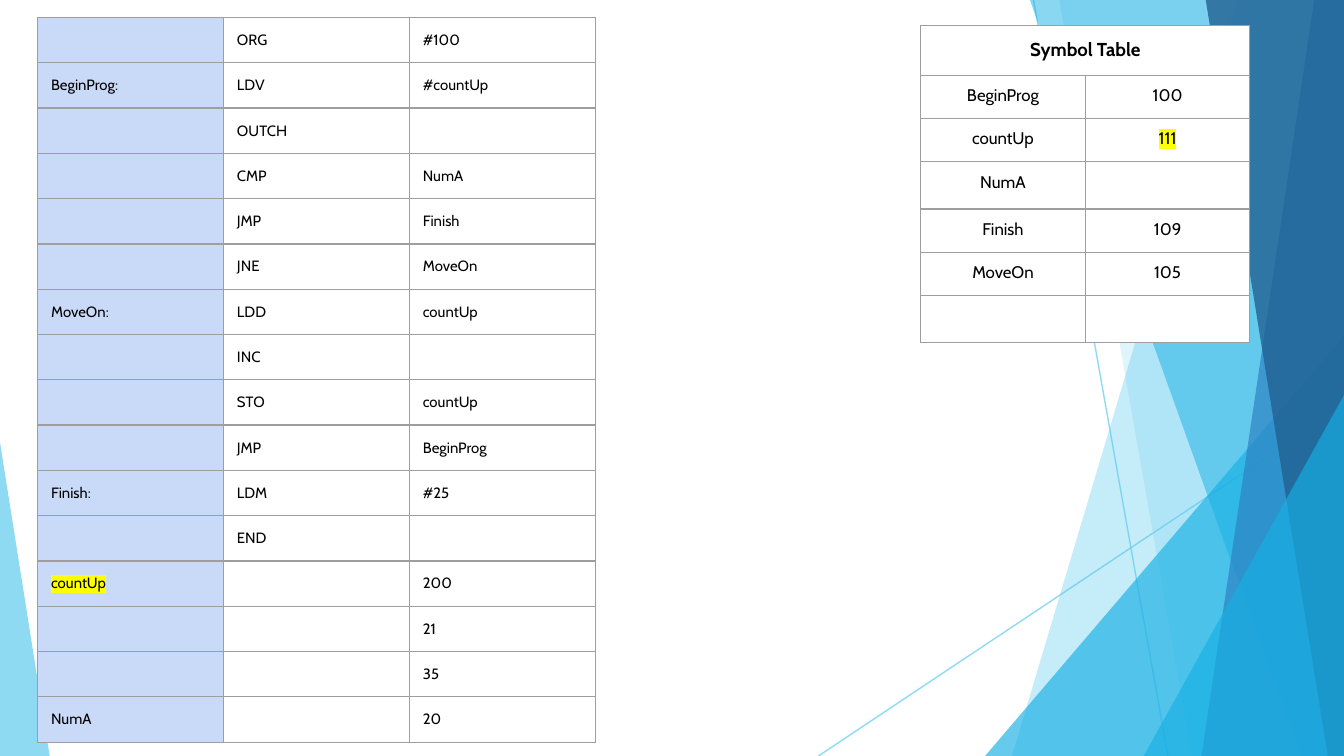
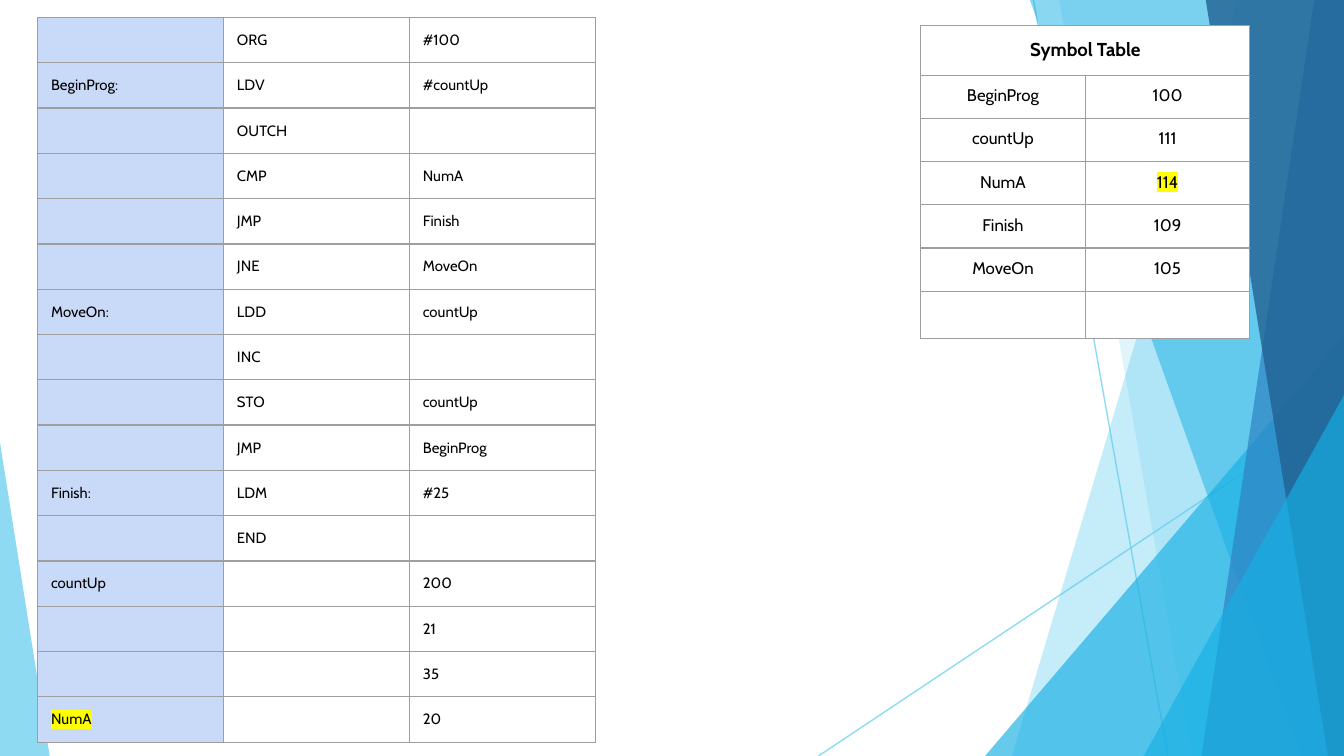
from lxml import etree
from pptx import Presentation
from pptx.dml.color import RGBColor
from pptx.enum.shapes import MSO_CONNECTOR, MSO_SHAPE
from pptx.enum.text import PP_ALIGN
from pptx.oxml.ns import qn
from pptx.util import Inches, Pt

LINE = MSO_CONNECTOR.STRAIGHT
WEDGE = MSO_SHAPE.ISOSCELES_TRIANGLE
LEFT, CENTER = PP_ALIGN.LEFT, PP_ALIGN.CENTER

# Places are counted on a grid of one-inch squares; the slide is 16:9.
WIDE = 10
HIGH = WIDE * 9 / 16
TOP = -0.01
FONT = "Cabin"
COLORS = {
    "sky": "5FCBEF", "cyan": "17B0E4", "blue": "2E83C3", "navy": "226292",
    "label": "C9DAF8", "white": "FFFFFF", "ink": "000000",
    "rule": "9E9E9E", "mark": "FFFF00",
}

CODE = [
    ("", "ORG", "#100"),
    ("BeginProg:", "LDV", "#countUp"),
    ("", "OUTCH", ""),
    ("", "CMP", "NumA"),
    ("", "JMP", "Finish"),
    ("", "JNE", "MoveOn"),
    ("MoveOn:", "LDD", "countUp"),
    ("", "INC", ""),
    ("", "STO", "countUp"),
    ("", "JMP", "BeginProg"),
    ("Finish:", "LDM", "#25"),
    ("", "END", ""),
    ("countUp", "", "200"),
    ("", "", "21"),
    ("", "", "35"),
    ("NumA", "", "20"),
]
# Each step: the label just found, and the address known for NumA.
STEPS = [("countUp", ""), ("NumA", "114")]


def rgb(name):
    return RGBColor.from_string(COLORS[name])


def tint(fill, name, alpha):
    """Set a solid colour with an opacity in percent."""
    fill.solid()
    fill.fore_color.rgb = rgb(name)
    for color in fill._xPr.iter(qn("a:srgbClr")):
        etree.SubElement(color, qn("a:alpha"), val=str(alpha * 1000))


def paint(shape, name, alpha):
    tint(shape.fill, name, alpha)
    shape.line.fill.background()
    shape.shadow.inherit = False


def add_ray(shapes, *ends):
    ray = shapes.add_connector(LINE, *map(Inches, ends))
    ray.line.width = Pt(0.75)
    tint(ray.line.fill, "sky", 70)
    etree.SubElement(ray._element.spPr, qn("a:effectLst"))


def add_band(shapes, top, foot, name, alpha):
    """Fill from a slanted edge to the right side of the slide."""
    pen = shapes.build_freeform(Inches(top), Inches(TOP))
    corners = [(WIDE, TOP), (WIDE, HIGH), (foot, HIGH)]
    pen.add_line_segments([(Inches(x), Inches(y)) for x, y in corners])
    paint(pen.convert_to_shape(), name, alpha)


def add_wedge(shapes, left, top, width, tip, name, alpha):
    box = (left, top, width, HIGH - top)
    wedge = shapes.add_shape(WEDGE, *map(Inches, box))
    wedge.adjustments[0] = tip
    paint(wedge, name, alpha)


def add_decor(slide):
    """Draw the facets once and move them to the layout of the slide."""
    layout, shapes = slide.slide_layout, slide.shapes
    for holder in list(layout.placeholders):
        layout.shapes._spTree.remove(holder._element)
    add_ray(shapes, 7.69, 0, 8.69, HIGH)
    add_ray(shapes, WIDE, 3.02, 6.09, HIGH)
    add_band(shapes, 9.21, 7.53, "sky", 36)
    add_band(shapes, 7.88, 8.87, "sky", 20)
    add_wedge(shapes, 7.33, 2.5, 2.67, 1, "cyan", 66)
    add_band(shapes, 7.66, 9.68, "cyan", 50)
    add_band(shapes, 9.78, 8.94, "blue", 70)
    add_band(shapes, 8.97, 9.88, "navy", 80)
    add_wedge(shapes, 8.51, 2.94, 1.49, 1, "cyan", 66)
    add_wedge(shapes, 0, 3.29, 0.37, 0, "sky", 70)
    for shape in list(shapes):
        layout.shapes._spTree.append(shape._element)


def add_rules(cell):
    props = cell._tc.get_or_add_tcPr()
    for side in ("lnL", "lnR", "lnT", "lnB"):
        edge = etree.SubElement(props, qn("a:" + side), w=str(Pt(0.75)))
        fill = etree.SubElement(edge, qn("a:solidFill"))
        etree.SubElement(fill, qn("a:srgbClr"), val=COLORS["rule"])


def fill_cell(cell, text, size, align, back="white", bold=False, mark=False):
    add_rules(cell)
    cell.fill.solid()
    cell.fill.fore_color.rgb = rgb(back)
    cell.margin_left = cell.margin_right = Inches(0.1)
    cell.margin_top = cell.margin_bottom = Inches(0.1)
    par = cell.text_frame.paragraphs[0]
    par.alignment = align
    font = par.font
    font.name, font.size, font.bold = FONT, Pt(size), bold
    font.color.rgb = rgb("ink")
    if not text:
        par._p.get_or_add_endParaRPr().set("sz", str(size * 100))
        return
    run = par.add_run()
    run.text = text
    if mark:
        light = etree.SubElement(run._r.get_or_add_rPr(), qn("a:highlight"))
        etree.SubElement(light, qn("a:srgbClr"), val=COLORS["mark"])


def add_grid(slide, rows, cols, left, top, width, row):
    """Add a plain table with equal columns and rows."""
    box = (left, top, width, row * rows)
    table = slide.shapes.add_table(rows, cols, *map(Inches, box)).table
    table.first_row = table.horz_banding = False
    return table


def add_code(slide, found):
    table = add_grid(slide, len(CODE), 3, 0.28, 0.13, 4.15, 0.28)
    for r, line in enumerate(CODE):
        for c, text in enumerate(line):
            back = "white" if c else "label"
            fill_cell(table.cell(r, c), text, 8, LEFT, back,
                      mark=c == 0 and text == found)


def add_symbols(slide, found, num):
    pairs = [("BeginProg", "100"), ("countUp", "111"), ("NumA", num),
             ("Finish", "109"), ("MoveOn", "105"), ("", "")]
    table = add_grid(slide, len(pairs) + 1, 2, 6.85, 0.19, 2.45, 0.31)
    table.rows[0].height = Inches(0.32)
    head = table.cell(0, 0)
    head.merge(table.cell(0, 1))
    fill_cell(head, "Symbol Table", 10, CENTER, bold=True)
    fill_cell(table.cell(0, 1), "", 10, CENTER)
    for r, pair in enumerate(pairs, 1):
        for c, text in enumerate(pair):
            cell = table.cell(r, c)
            fill_cell(cell, text, 9, CENTER,
                      mark=c == 1 and pair[0] == found)
            if text:
                cell.text_frame.paragraphs[0].line_spacing = 0.8


def main():
    deck = Presentation()
    deck.slide_width, deck.slide_height = Inches(WIDE), Inches(HIGH)
    blank = deck.slide_layouts[6]
    for step, (found, num) in enumerate(STEPS):
        slide = deck.slides.add_slide(blank)
        if step == 0:
            add_decor(slide)
        add_code(slide, found)
        add_symbols(slide, found, num)
    deck.save("out.pptx")


if __name__ == "__main__":
    main()
